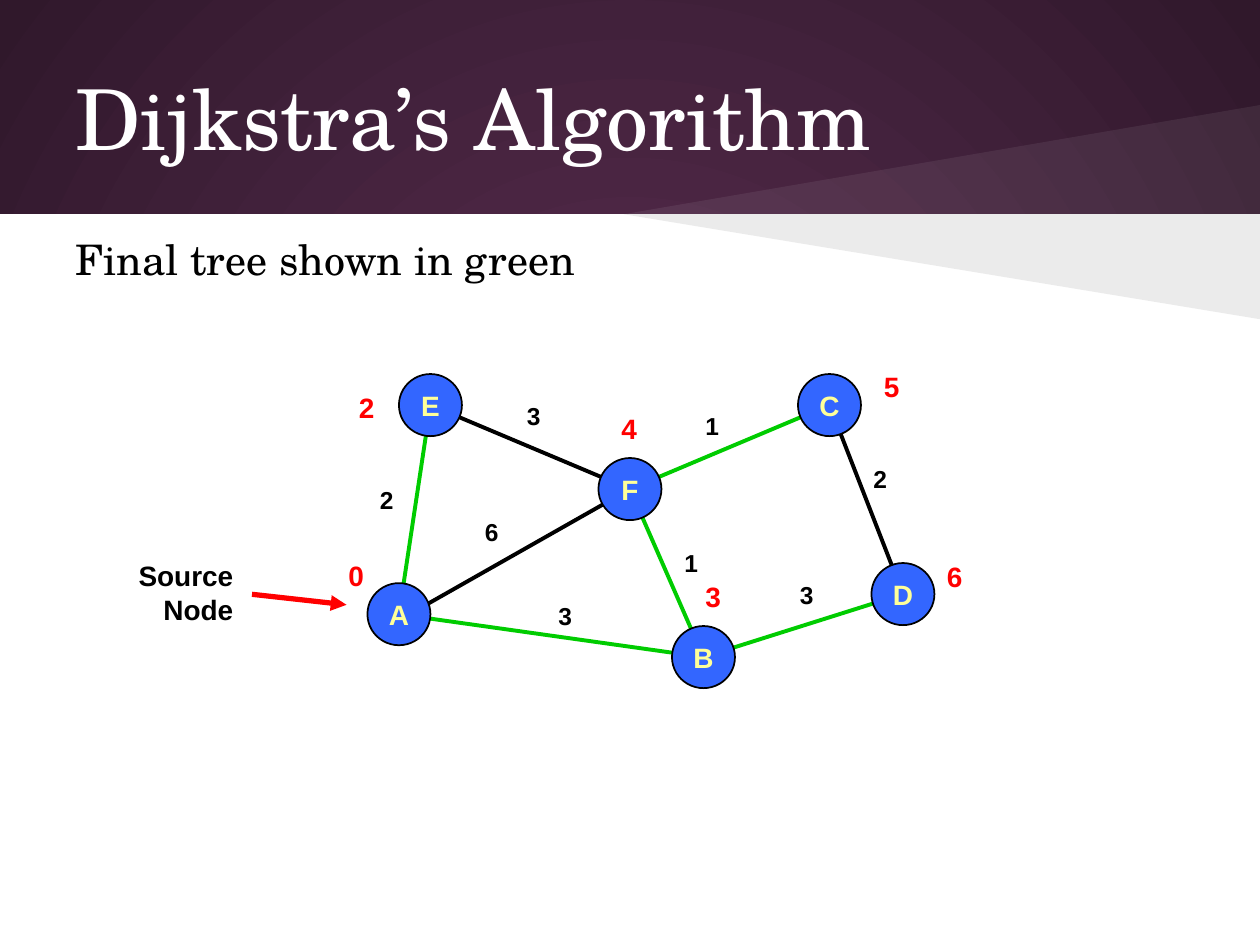
"""Build a slide showing the shortest-path tree found by Dijkstra's algorithm."""
from lxml.etree import SubElement
from pptx import Presentation
from pptx.dml.color import RGBColor
from pptx.enum.shapes import MSO_CONNECTOR as Connector, MSO_SHAPE as Shape
from pptx.enum.text import MSO_ANCHOR as Anchor, PP_ALIGN as Align
from pptx.oxml.ns import qn
from pptx.util import Pt

WHITE, BLACK = RGBColor(255, 255, 255), RGBColor(0, 0, 0)
PLUM, DARK_PLUM = RGBColor(0x59, 0x2D, 0x50), RGBColor(0x30, 0x18, 0x2B)
GREEN, RED = RGBColor(0, 0xCC, 0), RGBColor(255, 0, 0)
BLUE, YELLOW = RGBColor(0x33, 0x66, 0xFF), RGBColor(255, 255, 0x99)
SERIF, SANS = "TeX Gyre Schola", "Arial"

WIDTH, HEIGHT, BAND = 720, 540, 122.4
NODE_WIDTH, NODE_HEIGHT = 36, 35.5
TITLE = "Dijkstra’s Algorithm"
BODY = "Final tree shown in green"
SOURCE = ["Source", "Node"]
WEDGES = [(60, WHITE, 7), (182.4, BLACK, 8)]

# name: centre, distance, place of the distance
NODES = {
    "A": ((228, 351), "0", (192, 315.6)),
    "C": ((474, 231.5), "5", (498, 207.6)),
    "D": ((516, 339.5), "6", (534, 316)),
    "B": ((402, 375.5), "3", (396, 327.6)),
    "E": ((246, 231.5), "2", (198, 219.6)),
    "F": ((360, 279.5), "4", (348, 231.6)),
}
CENTRES = {name: centre for name, (centre, _, _) in NODES.items()}
EDGES = [
    (CENTRES["E"], CENTRES["A"], GREEN, "2", (210, 273.6)),
    (CENTRES["F"], CENTRES["C"], GREEN, "1", (396, 231.6)),
    (CENTRES["C"], CENTRES["D"], BLACK, "2", (492, 261.6)),
    ((234, 351), CENTRES["F"], BLACK, "6", (270, 291.6)),
    (CENTRES["A"], CENTRES["B"], GREEN, "3", (312, 340)),
    (CENTRES["F"], CENTRES["E"], BLACK, "3", (294, 225.6)),
    (CENTRES["B"], CENTRES["D"], GREEN, "3", (450, 327.6)),
    (CENTRES["B"], CENTRES["F"], GREEN, "1", (384, 309.6)),
]


def write(shape, lines, size, font, color, bold=True, align=Align.LEFT):
    frame = shape.text_frame
    for index, line in enumerate(lines):
        para = frame.add_paragraph() if index else frame.paragraphs[0]
        para.alignment = align
        span = para.add_run()
        span.text = line
        span.font.size, span.font.name, span.font.bold = Pt(size), font, bold
        span.font.color.rgb = color


def add_label(page, place, size, lines, points, color, align=Align.LEFT):
    box = page.shapes.add_textbox(*map(Pt, place + size))
    box.text_frame.word_wrap = False
    write(box, lines, points, SANS, color, align=align)


def add_heading(page, top, height, text, size, color, anchor):
    box = page.shapes.add_textbox(Pt(36), Pt(top), Pt(648), Pt(height))
    frame = box.text_frame
    frame.word_wrap, frame.vertical_anchor = True, anchor
    frame.margin_left = frame.margin_right = Pt(7.2)
    frame.margin_top = frame.margin_bottom = Pt(7.2)
    write(box, [text], size, SERIF, color, bold=False)


def add_line(page, start, end, color, width):
    line = page.shapes.add_connector(Connector.STRAIGHT, *map(Pt, start + end))
    line.line.color.rgb, line.line.width = color, Pt(width)
    SubElement(line._element.spPr, qn("a:effectLst"))
    return line


def paint(shape, color):
    shape.shadow.inherit = False
    shape.fill.solid()
    shape.fill.fore_color.rgb = color
    shape.line.fill.background()


def add_background(page):
    fill = page.background.fill
    fill.gradient()
    for stop, color in zip(fill.gradient_stops, (PLUM, DARK_PLUM)):
        stop.color.rgb = color
    gradient = page._element.find(".//" + qn("a:gradFill"))
    gradient.remove(gradient.find(qn("a:lin")))
    circle = SubElement(gradient, qn("a:path"), path="circle")
    SubElement(circle, qn("a:fillToRect"), l="50000", t="50000", r="50000", b="50000")

    panel = page.shapes.add_shape(
        Shape.RECTANGLE, 0, Pt(BAND), Pt(WIDTH), Pt(HEIGHT - BAND))
    paint(panel, WHITE)
    for corner, color, opacity in WEDGES:
        builder = page.shapes.build_freeform(Pt(WIDTH), Pt(BAND))
        builder.add_line_segments([(Pt(356.4), Pt(BAND)), (Pt(WIDTH), Pt(corner))])
        wedge = builder.convert_to_shape()
        paint(wedge, color)
        tint = wedge._element.spPr.find(qn("a:solidFill"))[0]
        SubElement(tint, qn("a:alpha"), val=str(opacity * 1000))


def add_node(page, name, centre):
    x, y = centre
    node = page.shapes.add_shape(
        Shape.OVAL, Pt(x - NODE_WIDTH / 2), Pt(y - NODE_HEIGHT / 2),
        Pt(NODE_WIDTH), Pt(NODE_HEIGHT))
    paint(node, BLUE)
    node.line.color.rgb, node.line.width = BLACK, Pt(1)
    frame = node.text_frame
    frame.margin_left = frame.margin_right = 0
    frame.vertical_anchor = Anchor.MIDDLE
    write(node, [name], 16, SANS, YELLOW, align=Align.CENTER)


def main():
    deck = Presentation()
    deck.slide_width, deck.slide_height = Pt(WIDTH), Pt(HEIGHT)
    page = deck.slides.add_slide(deck.slide_layouts[6])
    add_background(page)
    add_heading(page, 21.6, 90, TITLE, 48, WHITE, Anchor.MIDDLE)
    add_heading(page, 126, 391, BODY, 24, BLACK, Anchor.TOP)

    for start, end, color, weight, place in EDGES:
        add_line(page, start, end, color, 2.25)
        add_label(page, place, (22.2, 24), [weight], 14, BLACK)
    arrow = add_line(page, (144, 339.6), (198, 345.6), RED, 3)
    SubElement(arrow.line._get_or_add_ln(), qn("a:tailEnd"), type="triangle")
    add_label(page, (72, 315.6), (68.4, 46), SOURCE, 16, BLACK, Align.RIGHT)
    for name, (centre, distance, place) in NODES.items():
        add_node(page, name, centre)
        add_label(page, place, (23.3, 26.6), [distance], 16, RED)
    deck.save("out.pptx")


if __name__ == "__main__":
    main()
